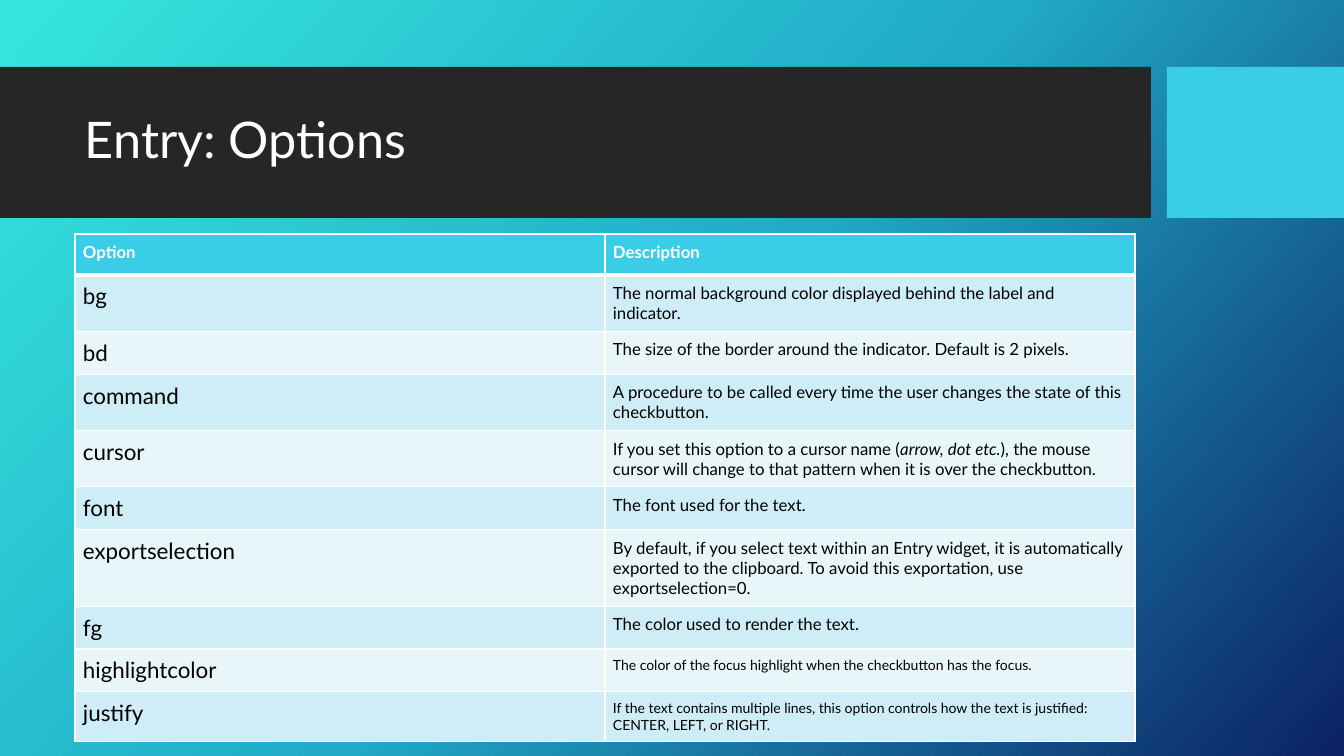
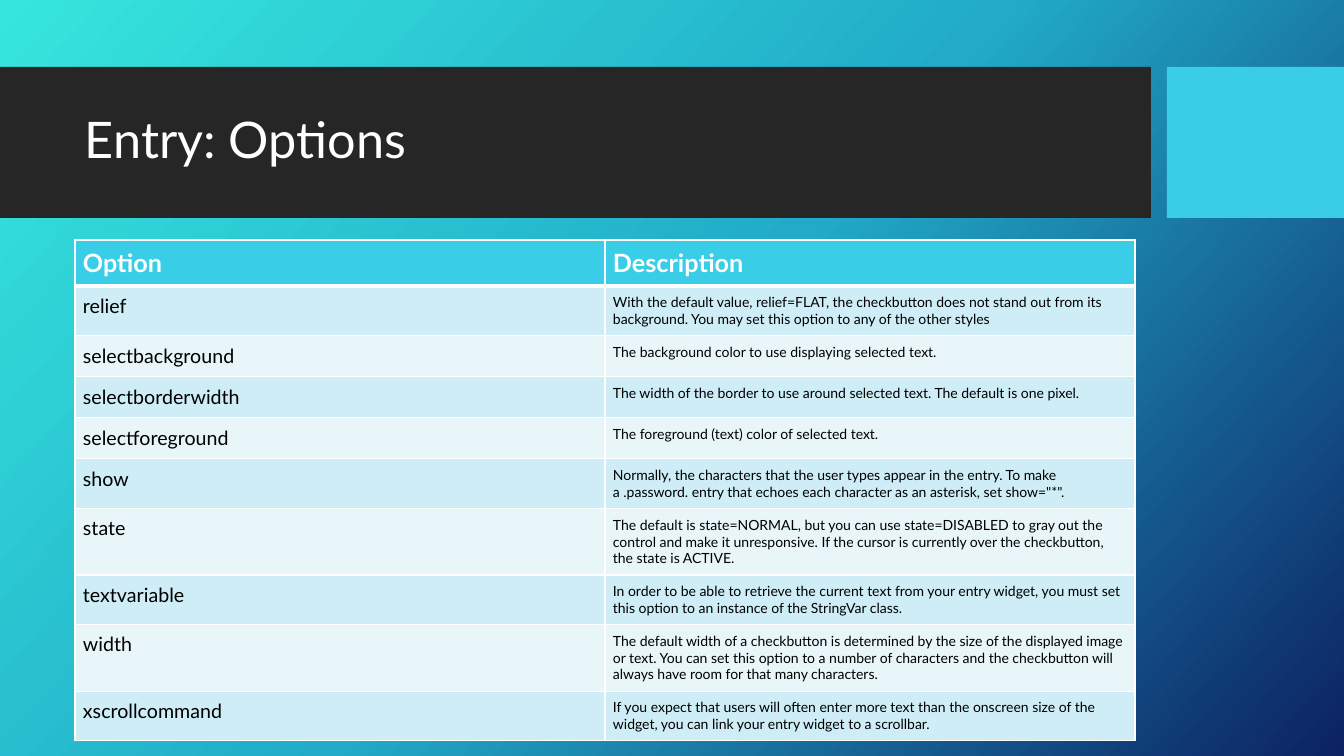
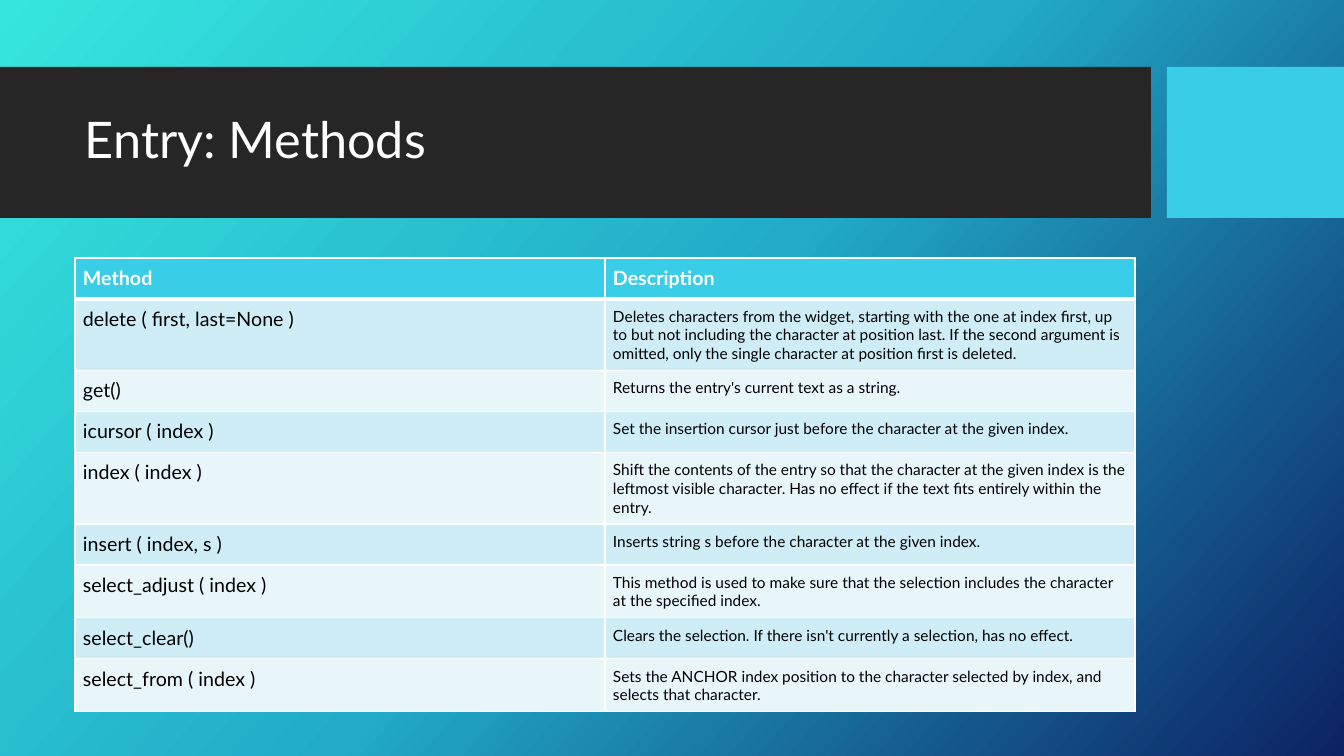
from copy import deepcopy
from dataclasses import dataclass

from pptx import Presentation
from pptx.dml.color import RGBColor
from pptx.enum.shapes import MSO_SHAPE as Preset
from pptx.enum.text import MSO_ANCHOR as Anchor
from pptx.oxml.ns import qn
from pptx.util import Emu, Pt
from lxml.etree import SubElement

FONT = "Lato"
WHITE, BLACK = "FFFFFF", "000000"
DARK, ACCENT = "262626", "39CDE7"
ROW_FILLS = ("CEEDF6", "E8F6FA")
GRADIENT = ("36E6DD", "21ABC8", "0C2263")
GRADIENT_ANGLE = 42

SLIDE_WIDTH, SLIDE_HEIGHT = 1344, 756
TABLE_LEFT, COLUMN_WIDTH = 75, 530
ROW_HEIGHT, CELL_INSET = 41, 8
THIN, THICK = 1, 3


@dataclass(frozen=True)
class Band:
    """A plain rectangle behind the title."""
    left: int
    top: int
    width: int
    height: int
    color: str


@dataclass(frozen=True)
class Entry:
    """A table row; every second part of the description is italic."""
    name: str
    description: tuple[str, ...]
    size: int


@dataclass(frozen=True)
class Reference:
    """One slide: a title and a table of names with descriptions."""
    title: str
    name_heading: str
    top: int
    height: int
    heading_size: int
    name_size: int
    entries: tuple[Entry, ...]


BANDS = (
    Band(0, 67, 1151, 151, DARK),
    Band(1167, 67, 177, 151, ACCENT),
)


def entries(size: int, *rows: tuple[str, ...]) -> tuple[Entry, ...]:
    """Make entries whose descriptions share one text size."""
    return tuple(Entry(name, tuple(parts), size) for name, *parts in rows)


REFERENCES = (
    Reference("Entry: Options", "Option", 234, 515, 12, 16, entries(
        12,
        ("bg", "The normal background color displayed behind the label and indicator."),
        ("bd", "The size of the border around the indicator. Default is 2 pixels."),
        ("command", "A procedure to be called every time the user changes the state "
                    "of this checkbutton."),
        ("cursor", "If you set this option to a cursor name (", "arrow, dot etc.",
         "), the mouse cursor will change to that pattern when it is over the checkbutton."),
        ("font", "The font used for the text."),
        ("exportselection", "By default, if you select text within an Entry widget, it is "
                            "automatically exported to the clipboard. To avoid this "
                            "exportation, use exportselection=0."),
        ("fg", "The color used to render the text."),
    ) + entries(
        10,
        ("highlightcolor", "The color of the focus highlight when the checkbutton has "
                           "the focus."),
        ("justify", "If the text contains multiple lines, this option controls how the "
                    "text is justified: CENTER, LEFT, or RIGHT."),
    )),
    Reference("Entry: Options", "Option", 240, 506, 18, 14, entries(
        10,
        ("relief", "With the default value, relief=FLAT, the checkbutton does not stand "
                   "out from its background. You may set this option to any of the "
                   "other styles"),
        ("selectbackground", "The background color to use displaying selected text."),
        ("selectborderwidth", "The width of the border to use around selected text. "
                              "The default is one pixel."),
        ("selectforeground", "The foreground (text) color of selected text."),
        ("show", "Normally, the characters that the user types appear in the entry. To "
                 "make a\u00a0.password. entry that echoes each character as an asterisk, "
                 'set show="*".'),
        ("state", "The default is state=NORMAL, but you can use state=DISABLED to gray "
                  "out the control and make it unresponsive. If the cursor is currently "
                  "over the checkbutton, the state is ACTIVE."),
        ("textvariable", "In order to be able to retrieve the current text from your entry "
                         "widget, you must set this option to an instance of the "
                         "StringVar class."),
        ("width", "The default width of a checkbutton is determined by the size of the "
                  "displayed image or text. You can set this option to a number of "
                  "characters and the checkbutton will always have room for that many "
                  "characters."),
        ("xscrollcommand", "If you expect that users will often enter more text than the "
                           "onscreen size of the widget, you can link your entry widget "
                           "to a scrollbar."),
    )),
    Reference("Entry: Methods", "Method", 258, 457, 14, 14, entries(
        11,
        ("delete ( first, last=None )",
         "Deletes characters from the widget, starting with the one at index first, up to "
         "but not including the character at position last. If the second argument is "
         "omitted, only the single character at position first is deleted."),
        ("get()", "Returns the entry's current text as a string."),
        ("icursor ( index )",
         "Set the insertion cursor just before the character at the given index."),
        ("index ( index )",
         "Shift the contents of the entry so that the character at the given index is the "
         "leftmost visible character. Has no effect if the text fits entirely within the "
         "entry."),
        ("insert ( index, s )", "Inserts string s before the character at the given index."),
        ("select_adjust ( index )",
         "This method is used to make sure that the selection includes the character at "
         "the specified index."),
        ("select_clear()",
         "Clears the selection. If there isn't currently a selection, has no effect."),
        ("select_from ( index )",
         "Sets the ANCHOR index position to the character selected by index, and selects "
         "that character."),
    )),
)


def px(pixels: int) -> Emu:
    """Turn pixels into EMU at 100.8 pixels to the inch."""
    return Emu(round(pixels * 914400 / 100.8))


def rgb(color: str) -> RGBColor:
    """Turn a hex string into a colour."""
    return RGBColor.from_string(color)


def style_run(run, size: int, color: str, bold: bool = False, italic: bool = False) -> None:
    """Apply the shared font and the given style."""
    font = run.font
    font.name, font.size = FONT, Pt(size)
    font.bold, font.italic = bold, italic
    font.color.rgb = rgb(color)


def paint_background(slide) -> None:
    """Fill the slide with the diagonal three-colour gradient."""
    fill = slide.background.fill
    fill.gradient()
    fill.gradient_angle = 360 - GRADIENT_ANGLE
    first_stop = next(slide.element.iter(qn("a:gs")))
    first_stop.addnext(deepcopy(first_stop))
    for index, (stop, color) in enumerate(zip(fill.gradient_stops, GRADIENT)):
        stop.position = index / (len(GRADIENT) - 1)
        stop.color.rgb = rgb(color)


def draw_band(slide, band: Band) -> None:
    """Draw one rectangle of the title strip."""
    shape = slide.shapes.add_shape(
        Preset.RECTANGLE, px(band.left), px(band.top), px(band.width), px(band.height))
    shape.shadow.inherit = False
    shape.fill.solid()
    shape.fill.fore_color.rgb = rgb(band.color)
    shape.line.fill.background()


def draw_title(slide, title: str) -> None:
    """Write the title over the dark band."""
    frame = slide.shapes.add_textbox(px(TABLE_LEFT), px(83), px(1060), px(119)).text_frame
    frame.word_wrap = True
    frame.vertical_anchor = Anchor.MIDDLE
    frame.text = title
    heading = frame.paragraphs[0]
    heading.line_spacing = 0.9
    style_run(heading.runs[0], 36, WHITE)


def add_border(cell, side: str, points: int) -> None:
    """Add a white line to one side of a cell, before its fill is set."""
    properties = cell._tc.get_or_add_tcPr()
    line = SubElement(properties, qn(f"a:ln{side}"), w=str(Pt(points)))
    solid = SubElement(line, qn("a:solidFill"))
    SubElement(solid, qn("a:srgbClr"), val=WHITE)


def fill_cell(cell, parts: tuple[str, ...], size: int, fill: str, is_header: bool) -> None:
    """Write and style one table cell."""
    cell.margin_left = cell.margin_right = px(CELL_INSET)
    cell.margin_top = cell.margin_bottom = px(CELL_INSET)
    add_border(cell, "L", THIN)
    add_border(cell, "R", THIN)
    if is_header:
        add_border(cell, "T", THIN)
    add_border(cell, "B", THICK if is_header else THIN)
    cell.fill.solid()
    cell.fill.fore_color.rgb = rgb(fill)
    paragraph = cell.text_frame.paragraphs[0]
    for index, part in enumerate(parts):
        run = paragraph.add_run()
        run.text = part
        style_run(run, size, WHITE if is_header else BLACK,
                  bold=is_header, italic=index % 2 == 1)


def draw_table(slide, reference: Reference) -> None:
    """Draw the header and the banded rows; rows grow with their text."""
    row_count = len(reference.entries) + 1
    frame = slide.shapes.add_table(
        row_count, 2, px(TABLE_LEFT), px(reference.top),
        px(2 * COLUMN_WIDTH), px(row_count * ROW_HEIGHT))
    frame.height = px(reference.height)
    table = frame.table
    table.first_row = table.horz_banding = False

    headings = (reference.name_heading, "Description")
    for column, heading in enumerate(headings):
        fill_cell(table.cell(0, column), (heading,), reference.heading_size, ACCENT, True)
    for row, entry in enumerate(reference.entries, start=1):
        fill = ROW_FILLS[(row - 1) % 2]
        fill_cell(table.cell(row, 0), (entry.name,), reference.name_size, fill, False)
        fill_cell(table.cell(row, 1), entry.description, entry.size, fill, False)


def main() -> None:
    """Build and save the presentation."""
    deck = Presentation()
    deck.slide_width, deck.slide_height = px(SLIDE_WIDTH), px(SLIDE_HEIGHT)
    blank = deck.slide_layouts[6]
    for reference in REFERENCES:
        slide = deck.slides.add_slide(blank)
        paint_background(slide)
        for band in BANDS:
            draw_band(slide, band)
        draw_title(slide, reference.title)
        draw_table(slide, reference)
    deck.save("out.pptx")


main()
